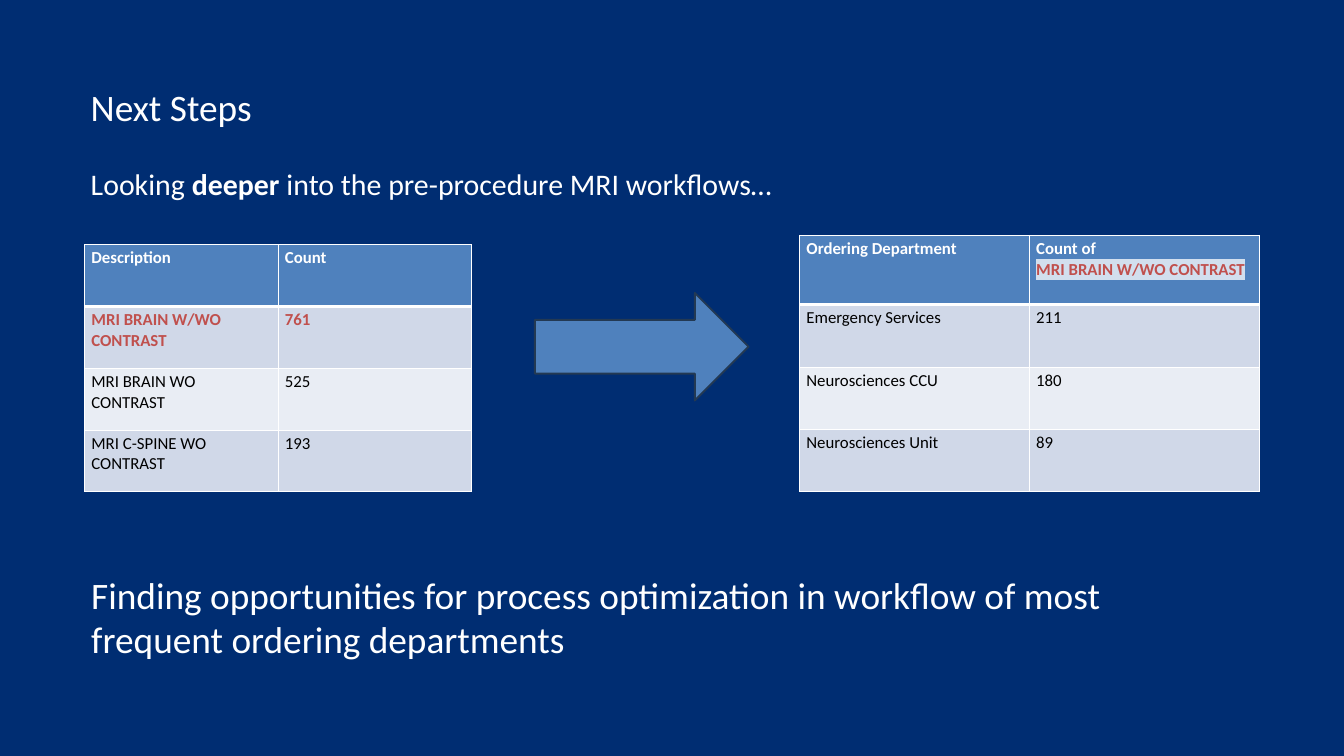
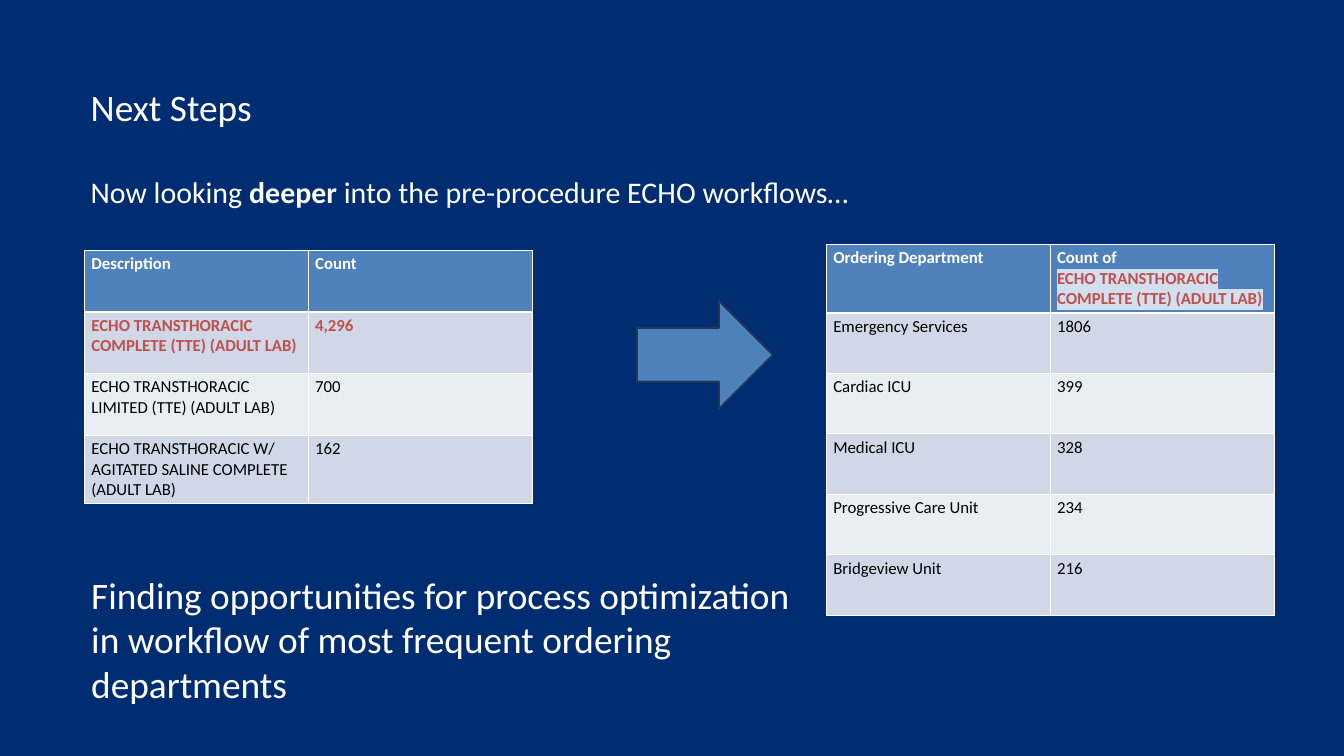
"""Build two slides on next steps for procedure workflows."""
from lxml import etree
from pptx import Presentation
from pptx.dml.color import RGBColor
from pptx.enum.shapes import MSO_SHAPE
from pptx.enum.text import MSO_ANCHOR, MSO_AUTO_SIZE, PP_ALIGN
from pptx.oxml.ns import qn
from pptx.util import Inches, Pt

RIGHT_ARROW = MSO_SHAPE.RIGHT_ARROW
TOP = MSO_ANCHOR.TOP
NO_AUTOFIT = MSO_AUTO_SIZE.NONE
LEFT = PP_ALIGN.LEFT

FONT = "Calibri"
NAVY, WHITE, BLACK = "002D72", "FFFFFF", "000000"
BLUE, OUTLINE, RED = "4F81BD", "233953", "C0504D"
BANDS = ["D0D8E8", "E9EDF4"]
HIGHLIGHT = "D2DFEE"

LEFT_EDGE = 1.25
TABLE_LEFT = 1.26
CONCLUSION = ("Finding opportunities for process optimization in workflow "
              "of most frequent ordering departments")

MRI = "MRI BRAIN W/WO CONTRAST"
ECHO = "ECHO TRANSTHORACIC COMPLETE (TTE) (ADULT LAB)"

PAGES = [
    {
        "lead": ("Looking ", "MRI"), "lead_at": (2.42, 13.74),
        "procedure": MRI,
        "counts": [(MRI, "761"), ("MRI BRAIN WO CONTRAST", "525"),
                   ("MRI C-SPINE WO CONTRAST", "193")],
        "counts_at": (3.64, 2.88),
        "arrow_at": (7.96, 4.36, 3.18, 1.6),
        "departments": [("Emergency Services", "211"),
                        ("Neurosciences CCU", "180"),
                        ("Neurosciences Unit", "89")],
        "departments_at": (11.9, 3.5, 3.42), "department_rows": (1.03, 0.93),
        "conclusion_size": (16.2, 1.45),
    },
    {
        "lead": ("Now looking ", "ECHO"), "lead_at": (2.53, 12.17),
        "procedure": ECHO,
        "counts": [(ECHO, "4,296"),
                   ("ECHO TRANSTHORACIC LIMITED (TTE) (ADULT LAB)", "700"),
                   ("ECHO TRANSTHORACIC W/ AGITATED SALINE COMPLETE (ADULT LAB)",
                    "162")],
        "counts_at": (3.72, 3.33),
        "arrow_at": (9.48, 4.48, 2.02, 1.6),
        "departments": [("Emergency Services", "1806"), ("Cardiac ICU", "399"),
                        ("Medical ICU", "328"),
                        ("Progressive Care Unit", "234"),
                        ("Bridgeview Unit", "216")],
        "departments_at": (12.3, 3.64, 3.33), "department_rows": (1.0, 0.9),
        "conclusion_size": (10.86, 2.12),
    },
]


def rgb(value):
    """Turn a hex string into a colour."""
    return RGBColor.from_string(value)


def add_solid(parent, tag, value):
    """Append an element holding a colour and return it."""
    element = etree.SubElement(parent, qn(tag))
    etree.SubElement(element, qn("a:srgbClr")).set("val", value)
    return element


class SlideBuilder:
    """Hold the shared style and the current slide."""

    def __init__(self):
        """Start a deck with the shared size and background."""
        self.deck = Presentation()
        self.deck.slide_width = Inches(20)
        self.deck.slide_height = Inches(11.25)
        fill = self.deck.slide_master.background.fill
        fill.solid()
        fill.fore_color.rgb = rgb(NAVY)
        self.page = None

    def new_page(self):
        """Add a slide with a title and a body."""
        self.page = self.deck.slides.add_slide(self.deck.slide_layouts[1])

    def add_span(self, para, text, size, color=WHITE, bold=False, highlight=None):
        """Add one formatted run to a paragraph."""
        span = para.add_run()
        span.text = text
        span.font.name = FONT
        span.font.size = Pt(size)
        span.font.bold = bold
        span.font.color.rgb = rgb(color)
        if highlight:
            properties = span.font._element
            mark = add_solid(properties, "a:highlight", highlight)
            properties.find(qn("a:latin")).addprevious(mark)

    def fill_box(self, box, at, spans, size):
        """Place a box and write one left-aligned paragraph of (text, bold)."""
        box.left, box.top, box.width, box.height = map(Inches, at)
        frame = box.text_frame
        frame.word_wrap = True
        frame.auto_size = NO_AUTOFIT
        frame.vertical_anchor = TOP
        para = frame.paragraphs[0]
        para.alignment = LEFT
        para.space_before = Pt(0)
        for text, bold in spans:
            self.add_span(para, text, size, bold=bold)
        return para

    def add_title(self, text):
        """Fill the title placeholder."""
        self.fill_box(self.page.shapes.title, (LEFT_EDGE, 1.21, 17.92, 0.77),
                      [(text, False)], 40)

    def add_lead(self, at, spans):
        """Fill the body placeholder with a line without a bullet."""
        para = self.fill_box(self.page.placeholders[1], at, spans, 32)
        properties = para._p.get_or_add_pPr()
        properties.set("marL", "0")
        properties.set("indent", "0")
        etree.SubElement(properties, qn("a:buNone"))

    def add_statement(self, at, text):
        """Add a large free line of text."""
        box = self.page.shapes.add_textbox(*map(Inches, at))
        self.fill_box(box, at, [(text, False)], 40)

    def add_arrow(self, at):
        """Add a block arrow that points right."""
        arrow = self.page.shapes.add_shape(RIGHT_ARROW, *map(Inches, at))
        arrow.shadow.inherit = False
        arrow.fill.solid()
        arrow.fill.fore_color.rgb = rgb(BLUE)
        arrow.line.color.rgb = rgb(OUTLINE)
        arrow.line.width = Pt(2)

    def style_cell(self, cell, fill, bottom=1, top=1):
        """Give a cell white borders and a fill."""
        properties = cell._tc.get_or_add_tcPr()
        widths = {"a:lnL": 1, "a:lnR": 1, "a:lnT": top, "a:lnB": bottom}
        for tag, width in widths.items():
            border = etree.SubElement(properties, qn(tag))
            border.set("w", str(Pt(width)))
            add_solid(border, "a:solidFill", WHITE)
        cell.fill.solid()
        cell.fill.fore_color.rgb = rgb(fill)

    def add_table(self, at, column_width, row_heights, header, rows, procedure):
        """Add a banded table of two columns that marks one procedure in red."""
        left, top = at
        header_height, row_height = row_heights
        table = self.page.shapes.add_table(
            len(rows) + 1, 2, Inches(left), Inches(top), Inches(2 * column_width),
            Inches(header_height + row_height * len(rows))).table
        for column in table.columns:
            column.width = Inches(column_width)
        for index, row in enumerate(table.rows):
            row.height = Inches(row_height if index else header_height)

        for cell, lines in zip(table.rows[0].cells, header):
            self.style_cell(cell, BLUE, bottom=3)
            for index, line in enumerate(lines):
                frame = cell.text_frame
                para = frame.add_paragraph() if index else frame.paragraphs[0]
                marked = line == procedure
                self.add_span(para, line, 18, RED if marked else WHITE, True,
                              HIGHLIGHT if marked else None)

        for index, texts in enumerate(rows):
            marked = texts[0] == procedure
            for cell, text in zip(table.rows[index + 1].cells, texts):
                self.style_cell(cell, BANDS[index % 2], top=1 if index else 3)
                self.add_span(cell.text_frame.paragraphs[0], text, 18,
                              RED if marked else BLACK, marked)


def build_page(builder, content):
    """Build one slide from its content."""
    builder.new_page()
    builder.add_title("Next Steps")
    opening, study = content["lead"]
    lead_top, lead_width = content["lead_at"]
    builder.add_lead(
        (LEFT_EDGE, lead_top, lead_width, 0.64),
        [(opening, False), ("deeper", True),
         (f" into the pre-procedure {study} workflows…", False)])

    procedure = content["procedure"]
    counts_top, counts_column = content["counts_at"]
    builder.add_table((TABLE_LEFT, counts_top), counts_column, (0.92, 0.92),
                      [["Description"], ["Count"]], content["counts"], procedure)
    builder.add_arrow(content["arrow_at"])
    left, top, column = content["departments_at"]
    builder.add_table((left, top), column, content["department_rows"],
                      [["Ordering Department"], ["Count of", procedure]],
                      content["departments"], procedure)
    builder.add_statement((TABLE_LEFT, 8.46, *content["conclusion_size"]),
                          CONCLUSION)


def main():
    """Build and save the deck."""
    builder = SlideBuilder()
    for content in PAGES:
        build_page(builder, content)
    builder.deck.save("out.pptx")


if __name__ == "__main__":
    main()
